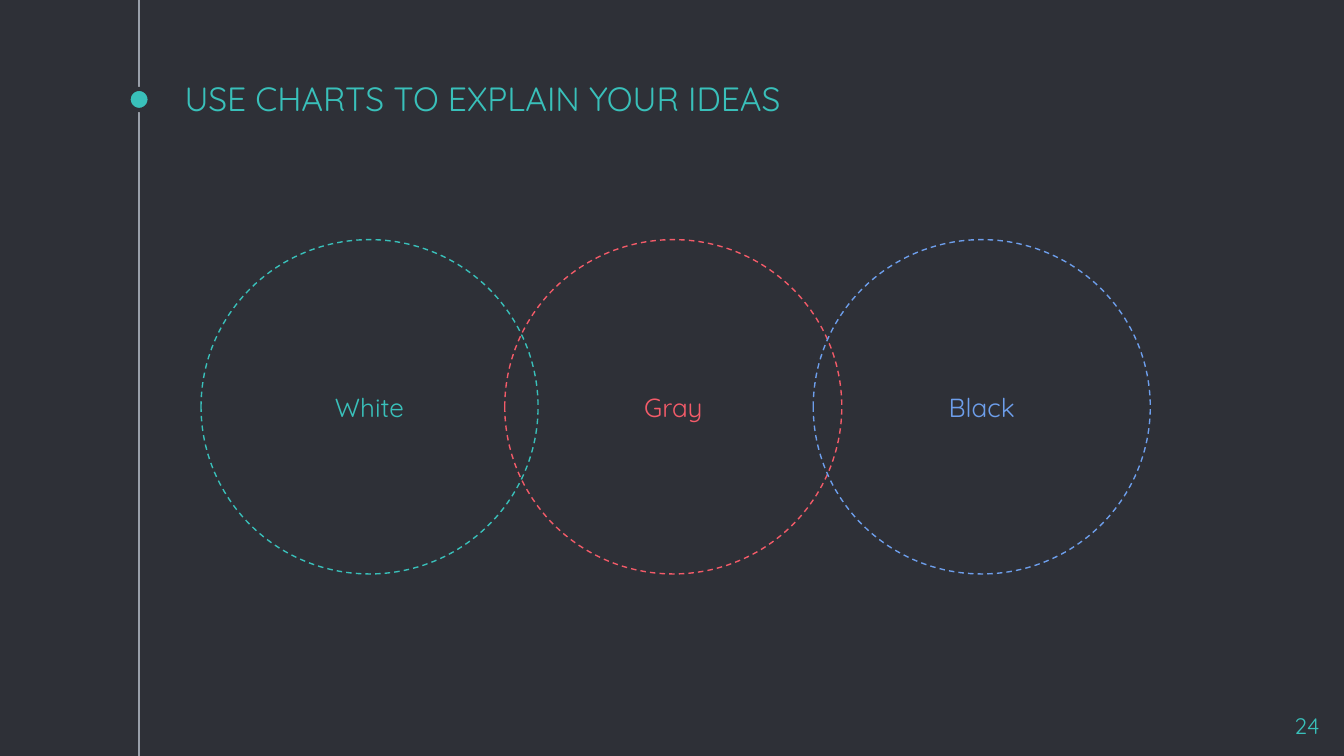
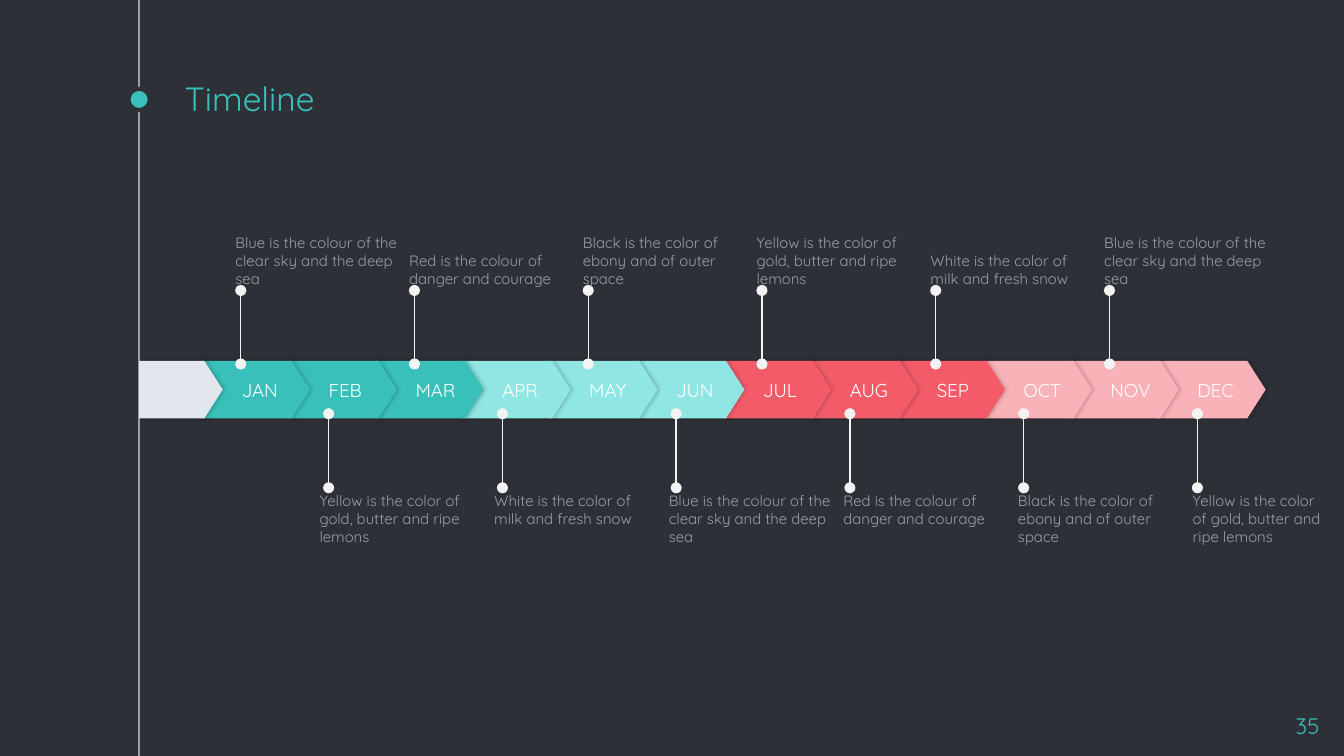
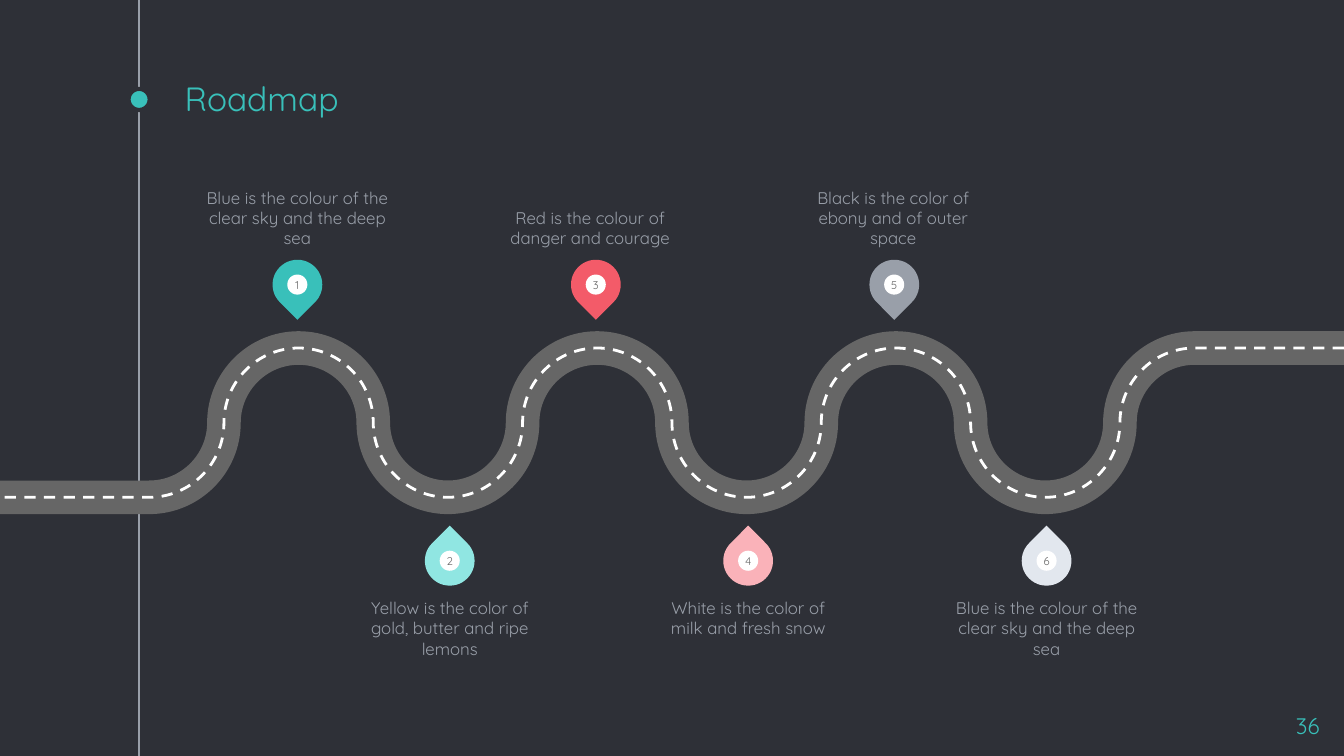
from lxml.etree import SubElement
from pptx import Presentation
from pptx.dml.color import RGBColor
from pptx.enum.dml import MSO_LINE
from pptx.enum.shapes import MSO_CONNECTOR, MSO_SHAPE
from pptx.enum.text import MSO_ANCHOR, MSO_AUTO_SIZE, PP_ALIGN
from pptx.oxml.ns import qn
from pptx.util import Cm, Pt

STRAIGHT = MSO_CONNECTOR.STRAIGHT
ELLIPSE, PENTAGON, TEARDROP = MSO_SHAPE.OVAL, MSO_SHAPE.PENTAGON, MSO_SHAPE.TEAR
LEFT, CENTER, RIGHT = PP_ALIGN.LEFT, PP_ALIGN.CENTER, PP_ALIGN.RIGHT
TOP, MIDDLE, BOTTOM = MSO_ANCHOR.TOP, MSO_ANCHOR.MIDDLE, MSO_ANCHOR.BOTTOM
DASH = MSO_LINE.DASH
NO_AUTOFIT = MSO_AUTO_SIZE.NONE

FONT = "Quicksand"
DARK, GRAY, SILVER, PALE, WHITE = "2E3037", "999FA9", "F3F3F3", "E2E7EE", "FFFFFF"
TEAL, LIGHT_TEAL, RED, PINK, BLUE = "39C0BA", "90E6E2", "F35B69", "FAB2B9", "6D9EEB"
ASPHALT = "666666"

WIDTH, HEIGHT = 25.4, 14.29
RAIL_X = 2.63

BLUE_NOTE = "Blue is the colour of the clear sky and the deep sea"
YELLOW_NOTE = "Yellow is the color of gold, butter and ripe lemons"
RED_NOTE = "Red is the colour of danger and courage"
WHITE_NOTE = "White is the color of milk and fresh snow"
BLACK_NOTE = "Black is the color of ebony and of outer space"
NOTES = [BLUE_NOTE, YELLOW_NOTE, RED_NOTE, WHITE_NOTE, BLACK_NOTE]

CIRCLES = [("Gray", 9.54, RED), ("White", 3.8, TEAL), ("Black", 15.37, BLUE)]

MONTHS = ["JAN", "FEB", "MAR", "APR", "MAY", "JUN",
          "JUL", "AUG", "SEP", "OCT", "NOV", "DEC"]
QUARTER_COLORS = [TEAL, LIGHT_TEAL, RED, PINK]
MONTH_NOTES = [NOTES[index % len(NOTES)] for index in range(len(MONTHS))]
JANUARY_LEFT, DECEMBER_LEFT = 3.81, 21.87
BAND_TOP, BAND_HEIGHT = 6.82, 1.09
NOTE_HEIGHT = 1.47

MILESTONES = [
    (BLUE_NOTE, TEAL, 0),
    (YELLOW_NOTE, LIGHT_TEAL, 0),
    (RED_NOTE, RED, -0.11),
    (WHITE_NOTE, PINK, 0),
    (BLACK_NOTE, GRAY, -0.02),
    (BLUE_NOTE, PALE, 0),
]
PIN_PITCH = 5.64
ROAD_NODES = 8
ROAD_PITCH = WIDTH / (ROAD_NODES + 1)
ROAD_MIDDLE = 7.99
ARC_PULL = 0.55


def color(value):
    return RGBColor.from_string(value)


def box(left, top, width, height):
    return Cm(left), Cm(top), Cm(width), Cm(height)


def write(shape, text, size, text_color, align=LEFT, anchor=TOP, inset=0, left_inset=None):
    frame = shape.text_frame
    frame.word_wrap = True
    frame.auto_size = NO_AUTOFIT
    frame.vertical_anchor = anchor
    frame.margin_top = frame.margin_bottom = frame.margin_right = Cm(inset)
    frame.margin_left = Cm(inset if left_inset is None else left_inset)
    paragraph = frame.paragraphs[0]
    paragraph.alignment = align
    run = paragraph.add_run()
    run.text = text
    run.font.name = FONT
    run.font.size = Pt(size)
    run.font.color.rgb = color(text_color)


def add_text(slide, place, text, size, text_color, **format_options):
    write(slide.shapes.add_textbox(*box(*place)), text, size, text_color, **format_options)


def style(shape, fill=None, line=None, weight=0.75, dash=None):
    shape.shadow.inherit = False
    if fill:
        shape.fill.solid()
        shape.fill.fore_color.rgb = color(fill)
    else:
        shape.fill.background()
    if line:
        shape.line.color.rgb = color(line)
        shape.line.width = Pt(weight)
        if dash:
            shape.line.dash_style = dash
    else:
        shape.line.fill.background()
    return shape


def add_figure(shapes, kind, place, **style_options):
    return style(shapes.add_shape(kind, *box(*place)), **style_options)


def add_line(slide, x, start_y, end_y, line_color, ends=None):
    connector = slide.shapes.add_connector(STRAIGHT, Cm(x), Cm(start_y), Cm(x), Cm(end_y))
    connector.line.color.rgb = color(line_color)
    connector.line.width = Pt(0.75)
    properties = connector.element.spPr
    if ends:
        outline = properties.find(qn("a:ln"))
        for tag in ("a:headEnd", "a:tailEnd"):
            SubElement(outline, qn(tag), type=ends)
    SubElement(properties, qn("a:effectLst"))
    return connector


def add_soft_shadow(shape):
    effects = shape.element.spPr.find(qn("a:effectLst"))
    shadow = SubElement(effects, qn("a:outerShdw"), blurRad=str(Pt(2.2)),
                        dist=str(Pt(0.8)), dir="0", algn="ctr", rotWithShape="0")
    tint = SubElement(shadow, qn("a:srgbClr"), val="000000")
    SubElement(tint, qn("a:alpha"), val="20000")


def prepare_layout(presentation):
    background = presentation.slide_master.background.fill
    background.solid()
    background.fore_color.rgb = color(DARK)
    layout = presentation.slide_layouts[5]
    title = layout.placeholders[0]
    title.left, title.top, title.width, title.height = box(3.24, 1.52, 19.05, 0.97)
    return layout


def move_rail_to_layout(slide, layout):
    rail = add_line(slide, RAIL_X, 0, HEIGHT, GRAY)
    dot = add_figure(slide.shapes, ELLIPSE, (RAIL_X - 0.2, 1.68, 0.4, 0.4),
                     fill=TEAL, line=DARK, weight=2.25)
    for shape in (rail, dot):
        layout.shapes.element.append(shape.element)


def add_slide(presentation, layout, title, number):
    slide = presentation.slides.add_slide(layout)
    write(slide.shapes.title, title, 18, TEAL, anchor=BOTTOM, inset=0.25)
    add_text(slide, (23.67, 13.21, 1.52, 0.86), number, 12, TEAL, align=RIGHT, inset=0.25)
    return slide


def draw_circles(slide):
    for name, left, hue in CIRCLES:
        circle = add_figure(slide.shapes, ELLIPSE, (left, 4.53, 6.37, 6.32),
                            line=hue, dash=DASH)
        write(circle, name, 14, hue, align=CENTER, anchor=MIDDLE, inset=0.25)


def add_band_part(slide, left, width, fill):
    part = add_figure(slide.shapes, PENTAGON, (left, BAND_TOP, width, BAND_HEIGHT), fill=fill)
    part.adjustments[0] = 0.32
    add_soft_shadow(part)
    return part


def draw_timeline(slide):
    pitch = (DECEMBER_LEFT - JANUARY_LEFT) / (len(MONTHS) - 1)
    for index, month in reversed(list(enumerate(MONTHS))):
        part = add_band_part(slide, JANUARY_LEFT + index * pitch, 2.05,
                             QUARTER_COLORS[index // 3])
        write(part, month, 10, WHITE, anchor=MIDDLE, left_inset=0.76)
    add_band_part(slide, RAIL_X, 1.58, PALE)

    for index, note in enumerate(MONTH_NOTES):
        x = JANUARY_LEFT + 0.74 + index * pitch
        if index % 2 == 0:
            add_line(slide, x, 6.88, 5.49, SILVER, ends="oval")
            note_left, note_top, anchor = x - 0.1, 3.96, BOTTOM
        else:
            add_line(slide, x + 0.02, 9.22, 7.82, SILVER, ends="oval")
            note_left, note_top, anchor = 6.04 + 3.3 * (index // 2), 9.3, TOP
        note_width = min(3.1, 25.12 - note_left)
        add_text(slide, (note_left, note_top, note_width, NOTE_HEIGHT),
                 note, 8, GRAY, anchor=anchor)


def road_points():
    radius = ROAD_PITCH / 2
    points = [(WIDTH, ROAD_MIDDLE - radius)]
    for node in range(ROAD_NODES, 0, -1):
        level = -radius if node % 2 == 0 else radius
        points.append((node * ROAD_PITCH, ROAD_MIDDLE + level))
        if node > 1:
            points.append(((node - 0.5) * ROAD_PITCH, ROAD_MIDDLE))
    points.append((0, ROAD_MIDDLE + radius))
    return points


def arc_controls(start, end):
    across = (end[0] - start[0]) * ARC_PULL
    along = (end[1] - start[1]) * ARC_PULL
    if start[1] == ROAD_MIDDLE:
        return (start[0], start[1] + along), (end[0] - across, end[1])
    return (start[0] + across, start[1]), (end[0], end[1] - along)


def bend_segments(shape, points):
    segments = list(shape.element.spPr.iter(qn("a:lnTo")))
    for segment, start, end in zip(segments, points, points[1:]):
        if start[1] == end[1]:
            continue
        curve = segment.getparent().makeelement(qn("a:cubicBezTo"))
        segment.getparent().replace(segment, curve)
        for x, y in (*arc_controls(start, end), end):
            SubElement(curve, qn("a:pt"), x=str(Cm(x) - shape.left), y=str(Cm(y) - shape.top))


def draw_road(slide):
    points = road_points()
    corners = [(Cm(x), Cm(y)) for x, y in points]
    for hue, weight, dash in ((ASPHALT, 18, None), (WHITE, 1.5, DASH)):
        builder = slide.shapes.build_freeform(*corners[0])
        builder.add_line_segments(corners[1:], close=False)
        road = style(builder.convert_to_shape(), line=hue, weight=weight, dash=dash)
        bend_segments(road, points)


def draw_milestones(slide):
    for index, (note, hue, shift) in enumerate(MILESTONES):
        above = index % 2 == 0
        first_x, y, turn, note_top, anchor = (
            (5.62, 5.38, 135, 3.22, BOTTOM) if above else (8.5, 10.6, 315, 11.3, TOP))
        x = first_x + index // 2 * PIN_PITCH
        pin = slide.shapes.add_group_shape()
        drop = add_figure(pin.shapes, TEARDROP, (x - 0.47, y - 0.47, 0.94, 0.94), fill=hue)
        drop.rotation = turn
        badge = add_figure(pin.shapes, ELLIPSE, (x - 0.19, y - 0.19, 0.38, 0.38), fill=WHITE)
        write(badge, str(index + 1), 6, ASPHALT, align=CENTER, anchor=MIDDLE)
        add_text(slide, (x + shift - 1.79, note_top, 3.58, NOTE_HEIGHT),
                 note, 9, GRAY, align=CENTER, anchor=anchor)


def main():
    presentation = Presentation()
    presentation.slide_width, presentation.slide_height = Cm(WIDTH), Cm(HEIGHT)
    layout = prepare_layout(presentation)

    circles = add_slide(presentation, layout, "USE CHARTS TO EXPLAIN YOUR IDEAS", "24")
    move_rail_to_layout(circles, layout)
    draw_circles(circles)

    timeline = add_slide(presentation, layout, "Timeline", "35")
    draw_timeline(timeline)

    roadmap = add_slide(presentation, layout, "Roadmap", "36")
    draw_road(roadmap)
    draw_milestones(roadmap)

    presentation.save("out.pptx")


if __name__ == "__main__":
    main()
